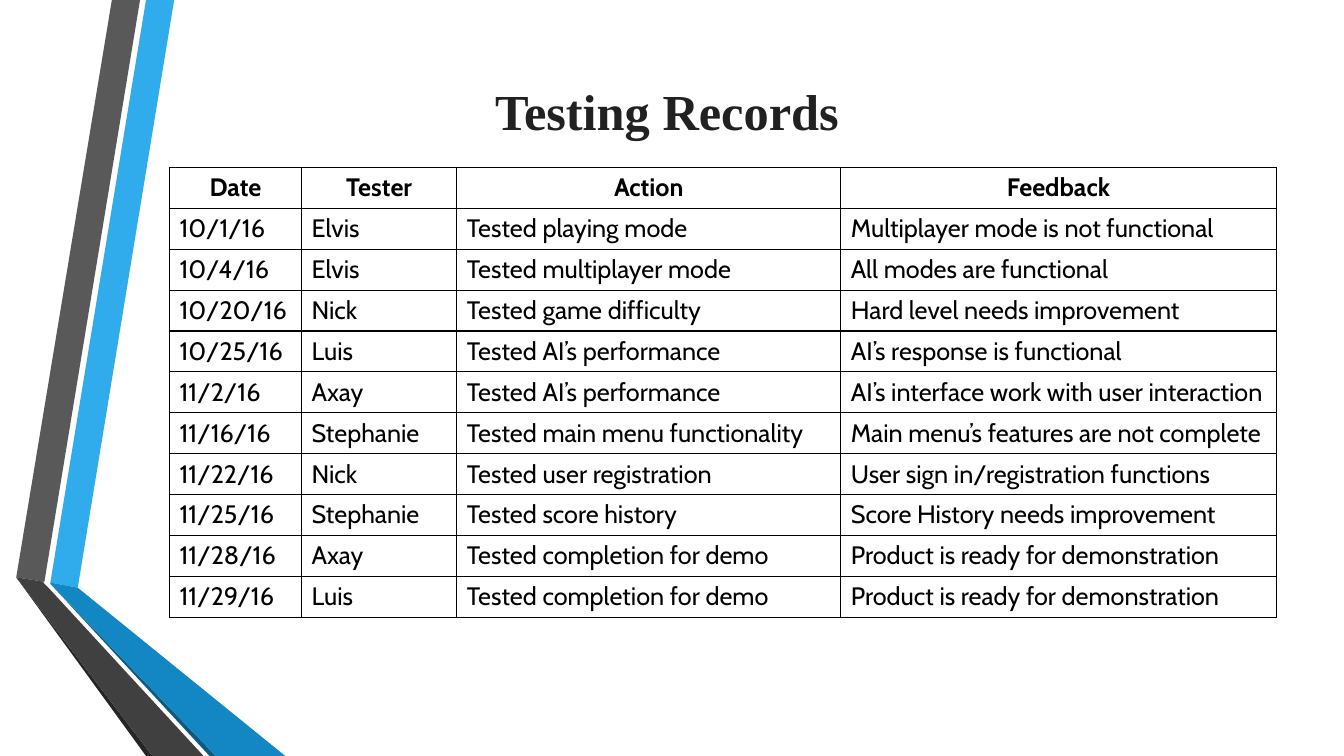
from dataclasses import dataclass

from lxml import etree
from pptx import Presentation
from pptx import util as u
from pptx.dml.color import RGBColor
from pptx.enum import text
from pptx.oxml import ns


@dataclass(frozen=True)
class Theme:
    sky: str = "30ACEC"
    blue: str = "1287C3"
    navy: str = "0C5A82"
    gray: str = "595959"
    dark: str = "404040"
    coal: str = "262626"
    title: str = "212121"
    ink: str = "000000"
    head: int = 36
    body: int = 18
    line: int = 1


theme = Theme()


def style(run, color, **form):
    for key, value in form.items():
        setattr(run.font, key, value)
    run.font.color.rgb = RGBColor.from_string(color)


def border(cell):
    props = cell._tc.get_or_add_tcPr()
    for side in ("lnL", "lnR", "lnT", "lnB"):
        line = etree.SubElement(props, ns.qn("a:" + side), w=str(u.Pt(theme.line)))
        fill = etree.SubElement(line, ns.qn("a:solidFill"))
        etree.SubElement(fill, ns.qn("a:srgbClr"), val=theme.ink)


deck = Presentation()
deck.slide_width, deck.slide_height = u.Cm(33.87), u.Cm(19.05)
slide = deck.slides.add_slide(deck.slide_layouts[6])

# Folded ribbons on the left, back to front
foot = 19.05
bands = [
    (theme.sky, [(1.27, 14.68), (1.96, 14.81), (4.39, 0), (3.68, 0)]),
    (theme.gray, [(3.53, 0), (2.82, 0), (0.41, 14.55), (1.12, 14.66)]),
    (theme.coal, [(0.41, 14.55), (3.68, foot), (3.84, foot)]),
    (theme.navy, [(1.27, 14.71), (5.28, foot), (5.44, foot)]),
    (theme.blue, [(1.27, 14.68), (1.27, 14.71), (5.44, foot), (7.19, foot),
                  (1.96, 14.81)]),
    (theme.dark, [(0.41, 14.55), (3.84, foot), (5.13, foot), (1.22, 14.81),
                  (1.09, 14.68), (1.12, 14.66)]),
]
for color, spots in bands:
    start, *rest = [(u.Cm(x), u.Cm(y)) for x, y in spots]
    pen = slide.shapes.build_freeform(*start)
    pen.add_line_segments(rest, close=True)
    band = pen.convert_to_shape()
    band.shadow.inherit = False
    band.fill.solid()
    band.fill.fore_color.rgb = RGBColor.from_string(color)
    band.line.fill.background()

# Title
box = slide.shapes.add_textbox(u.Cm(5.38), u.Cm(1.37), u.Cm(22.86), u.Cm(2.29))
box.text_frame.word_wrap = True
para = box.text_frame.paragraphs[0]
para.alignment = text.PP_ALIGN.CENTER
para.line_spacing = u.Pt(58)
run = para.add_run()
run.text = "Testing Records"
style(run, theme.title, name="Times New Roman", size=u.Pt(theme.head), bold=True)

# Table of tests
rows = [
    ("Date", "Tester", "Action", "Feedback"),
    ("10/1/16", "Elvis", "Tested playing mode", "Multiplayer mode is not functional"),
    ("10/4/16", "Elvis", "Tested multiplayer mode", "All modes are functional"),
    ("10/20/16", "Nick", "Tested game difficulty", "Hard level needs improvement"),
    ("10/25/16", "Luis", "Tested AI’s performance", "AI’s response is functional"),
    ("11/2/16", "Axay", "Tested AI’s performance",
     "AI’s interface work with user interaction"),
    ("11/16/16", "Stephanie", "Tested main menu functionality",
     "Main menu’s features are not complete"),
    ("11/22/16", "Nick", "Tested user registration",
     "User sign in/registration functions"),
    ("11/25/16", "Stephanie", "Tested score history",
     "Score History needs improvement"),
    ("11/28/16", "Axay", "Tested completion for demo",
     "Product is ready for demonstration"),
    ("11/29/16", "Luis", "Tested completion for demo",
     "Product is ready for demonstration"),
]
wides = [3.33, 3.91, 9.68, 10.97]
high = 1.03
table = slide.shapes.add_table(
    len(rows), len(wides), u.Cm(4.27), u.Cm(4.22),
    u.Cm(sum(wides)), u.Cm(high * len(rows))).table
table.first_row = table.horz_banding = False
for col, wide in zip(table.columns, wides):
    col.width = u.Cm(wide)

for r, row in enumerate(rows):
    table.rows[r].height = u.Cm(high)
    for c, word in enumerate(row):
        cell = table.cell(r, c)
        border(cell)
        cell.fill.background()
        para = cell.text_frame.paragraphs[0]
        para.alignment = text.PP_ALIGN.LEFT if r else text.PP_ALIGN.CENTER
        run = para.add_run()
        run.text = word
        style(run, theme.ink, name="Cabin", size=u.Pt(theme.body), bold=r == 0)

deck.save("out.pptx")
